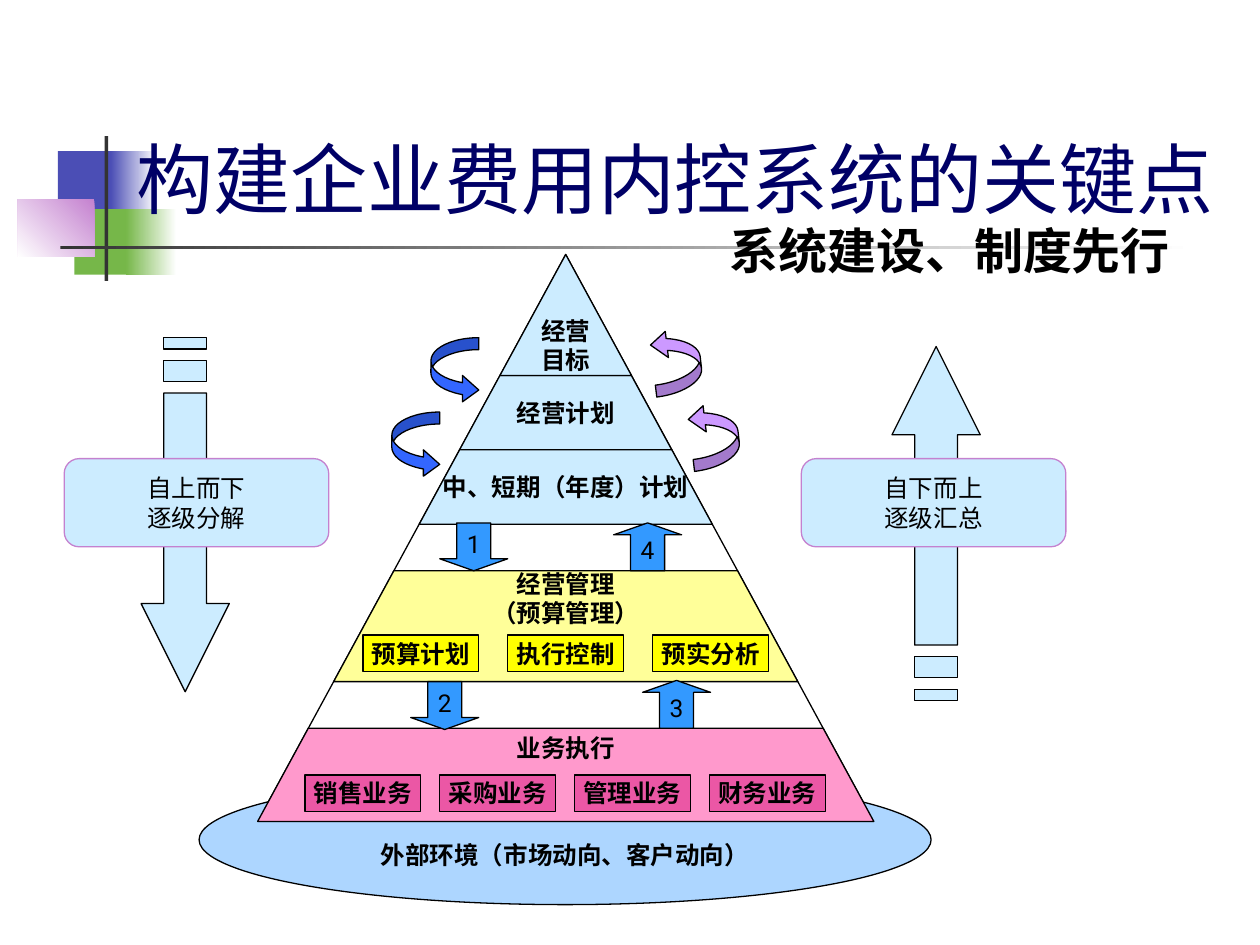
"""Build the slide on the key points of an enterprise cost control system."""
from dataclasses import dataclass

from lxml import etree
from pptx import Presentation
from pptx.dml.color import RGBColor
from pptx.enum.shapes import MSO_SHAPE
from pptx.enum.text import MSO_ANCHOR, PP_ALIGN
from pptx.oxml.ns import qn
from pptx.util import Inches, Pt


@dataclass(frozen=True)
class Theme:
    navy: str = "000066"
    black: str = "000000"
    white: str = "FFFFFF"
    dark: str = "333333"
    indigo: str = "4B4EB5"
    green: str = "76B749"
    mauve: str = "C481CF"
    sky: str = "CCECFF"
    ground: str = "99CCFF"
    pink: str = "FF99CC"
    rose: str = "EB57A5"
    cream: str = "FFFF99"
    yellow: str = "FFFF00"
    step: str = "3399FF"
    blue: str = "3366FF"
    violet: str = "CC99FF"
    body: str = "Arial"
    head: str = "Roboto"
    title_size: int = 44
    sub_size: int = 28
    text_size: int = 14


T = Theme()
TITLE = "构建企业费用内控系统的关键点"
SUBTITLE = "系统建设、制度先行"
ENVIRONMENT = "外部环境（市场动向、客户动向）"
APEX_X, APEX_Y, BASE_Y, BASE_HALF = 4.49, 2.02, 6.52, 2.445
GOAL = (2.98, ["经营", "目标"])
BANDS = [
    (5.78, 6.52, T.pink, ["业务执行"], 0.47),
    (4.53, 5.41, T.cream, ["经营管理", "（预算管理）"], 0.43),
    (2.98, 3.57, T.sky, ["经营计划"], None),
    (3.57, 4.16, T.sky, ["中、短期（年度）计划"], None),
]
BOX_ROWS = [
    (2.42, 6.15, 1.07, T.rose, ["销售业务", "采购业务", "管理业务", "财务业务"]),
    (2.88, 5.04, 1.15, T.yellow, ["预算计划", "执行控制", "预实分析"]),
]
STEPS = [
    ("1", 3.49, 4.15, MSO_SHAPE.DOWN_ARROW),
    ("2", 3.26, 5.41, MSO_SHAPE.DOWN_ARROW),
    ("3", 5.10, 5.40, MSO_SHAPE.UP_ARROW),
    ("4", 4.87, 4.15, MSO_SHAPE.UP_ARROW),
]
LOOPS = [
    (3.42, 2.68, 0, T.blue),
    (3.11, 3.27, 0, T.blue),
    (5.18, 2.61, 173.1, T.violet),
    (5.48, 3.20, 173.1, T.violet),
]
FLOWS = [
    (1.47, 2.68, 1, 0.51, ["自上而下", "逐级分解"]),
    (7.43, 5.56, -1, 6.36, ["自下而上", "逐级汇总"]),
]
DECOR = [
    (0.46, 1.20, 0.48, 0.52, T.indigo, None, 0),
    (0.88, 1.20, 0.36, 0.52, T.indigo, T.white, 0),
    (0.59, 1.66, 0.46, 0.52, T.green, None, 0),
    (1.00, 1.66, 0.40, 0.52, T.green, T.white, 0),
    (0.14, 1.58, 0.61, 0.46, T.mauve, T.white, 225),
    (0.83, 1.08, 0.03, 1.15, T.dark, None, 0),
    (0.48, 1.95, 9.00, 0.03, T.dark, T.white, 0),
]


def rgb(value):
    """Turn a hex string into a colour."""
    return RGBColor.from_string(value)


def write(sp, lines, font=T.body, size=T.text_size, color=T.black, bold=False,
          align=PP_ALIGN.CENTER, anchor=MSO_ANCHOR.MIDDLE, wrap=False,
          left=0.1, top=0.05, bottom=0.05, spacing=None):
    """Put lines of text into a shape, one paragraph each."""
    tf = sp.text_frame
    tf.word_wrap, tf.vertical_anchor = wrap, anchor
    tf.margin_left, tf.margin_right = Inches(left), Inches(0.1)
    tf.margin_top, tf.margin_bottom = Inches(top), Inches(bottom)
    for i, line in enumerate(lines):
        p = tf.add_paragraph() if i else tf.paragraphs[0]
        p.alignment, p.line_spacing = align, spacing
        r = p.add_run()
        r.text = line
        r.font.name, r.font.size, r.font.bold = font, Pt(size), bold
        r.font.color.rgb = rgb(color)


def paint(sp, fill, line=T.black):
    """Give a shape a flat fill and a thin line."""
    sp.shadow.inherit = False
    sp.fill.solid()
    sp.fill.fore_color.rgb = rgb(fill)
    if line:
        sp.line.color.rgb = rgb(line)
        sp.line.width = Pt(0.75)
    else:
        sp.line.fill.background()
    return sp


def add(s, kind, x, y, w, h, fill, line=T.black, adj=()):
    """Add a preset shape placed in inches."""
    sp = s.shapes.add_shape(kind, Inches(x), Inches(y), Inches(w), Inches(h))
    for i, value in enumerate(adj):
        sp.adjustments[i] = value
    return paint(sp, fill, line)


def polygon(s, contours, fill):
    """Add a freeform made of closed contours given in inches."""
    emu = [[(Inches(x), Inches(y)) for x, y in c] for c in contours]
    fb = s.shapes.build_freeform(*emu[0][0])
    for i, points in enumerate(emu):
        if i:
            fb.move_to(*points[0])
        fb.add_line_segments(points[1:], close=True)
    return paint(fb.convert_to_shape(), fill)


def half(y):
    """Half the pyramid's width at height y."""
    return (y - APEX_Y) * BASE_HALF / (BASE_Y - APEX_Y)


def triangle(s, bottom, fill):
    """Add the part of the pyramid from its apex down to a level."""
    return add(s, MSO_SHAPE.FLOWCHART_EXTRACT, APEX_X - half(bottom), APEX_Y,
               2 * half(bottom), bottom - APEX_Y, fill)


def add_decor(s):
    for x, y, w, h, color, fade, angle in DECOR:
        sp = add(s, MSO_SHAPE.RECTANGLE, x, y, w, h, color, None)
        if fade:
            sp.fill.gradient()
            sp.fill.gradient_angle = angle
            for stop, value in zip(sp.fill.gradient_stops, (color, fade)):
                stop.color.rgb = rgb(value)


def add_headings(s):
    title = s.shapes.title
    s.shapes._spTree.append(title._element)
    title.left, title.top, title.width, title.height = map(Inches, (0.98, 0.23, 8.8, 1.6))
    write(title, [TITLE], font=T.head, size=T.title_size, color=T.navy,
          align=PP_ALIGN.LEFT, anchor=MSO_ANCHOR.BOTTOM, wrap=True)
    sub = s.shapes.add_textbox(*map(Inches, (5.39, 1.7, 4.17, 0.63)))
    write(sub, [SUBTITLE], font=T.head, size=T.sub_size, bold=True,
          align=PP_ALIGN.LEFT, wrap=True, left=0.4, spacing=0.9)


def add_pyramid(s):
    triangle(s, BASE_Y, T.white)
    ground = add(s, MSO_SHAPE.OVAL, 1.58, 6.15, 5.81, 1.03, T.ground)
    color = ground._element.spPr.find(qn("a:solidFill"))[0]
    etree.SubElement(color, qn("a:alpha")).set("val", "80000")
    write(ground, [ENVIRONMENT], bold=True, top=0.29)
    for top, bottom, fill, lines, below in BANDS:
        a, b = half(top), half(bottom)
        sp = polygon(s, [[(APEX_X - a, top), (APEX_X + a, top),
                          (APEX_X + b, bottom), (APEX_X - b, bottom)]], fill)
        place = {"anchor": MSO_ANCHOR.BOTTOM, "top": 0, "bottom": below} if below else {}
        write(sp, lines, bold=True, **place)
    level, lines = GOAL
    write(triangle(s, level, T.sky), lines, bold=True)
    for x, y, pitch, fill, names in BOX_ROWS:
        for i, name in enumerate(names):
            sp = add(s, MSO_SHAPE.RECTANGLE, x + i * pitch, y, 0.92, 0.29, fill)
            write(sp, [name], bold=True)


def add_arrows(s):
    for x, y, turn, fill in LOOPS:
        sp = add(s, MSO_SHAPE.CURVED_RIGHT_ARROW, x, y, 0.38, 0.52, fill, adj=(0.25, 0.55, 0.34))
        sp.rotation = turn
    for label, x, y, kind in STEPS:
        write(add(s, kind, x, y, 0.54, 0.38, T.step, adj=(0.5, 0.25)), [label], font=T.head)
    for cx, tail, way, box_x, lines in FLOWS:
        outline = [(-0.17, 0.44), (0.17, 0.44), (0.17, 2.11), (0.35, 2.11),
                   (0, 2.81), (-0.35, 2.11), (-0.17, 2.11)]
        stripes = [[(-0.17, a), (0.17, a), (0.17, b), (-0.17, b)]
                   for a, b in ((0, 0.09), (0.18, 0.35))]
        polygon(s, [[(cx + dx, tail + way * dy) for dx, dy in c]
                    for c in [outline, *stripes]], T.sky)
        sp = add(s, MSO_SHAPE.ROUNDED_RECTANGLE, box_x, 3.64, 2.1, 0.7, T.sky, T.mauve, (0.17,))
        write(sp, lines, font=T.head)


def main():
    prs = Presentation()
    prs.slide_width, prs.slide_height = Inches(10), Inches(7.5)
    s = prs.slides.add_slide(prs.slide_layouts[5])
    for build in (add_decor, add_headings, add_pyramid, add_arrows):
        build(s)
    prs.save("out.pptx")


if __name__ == "__main__":
    main()
